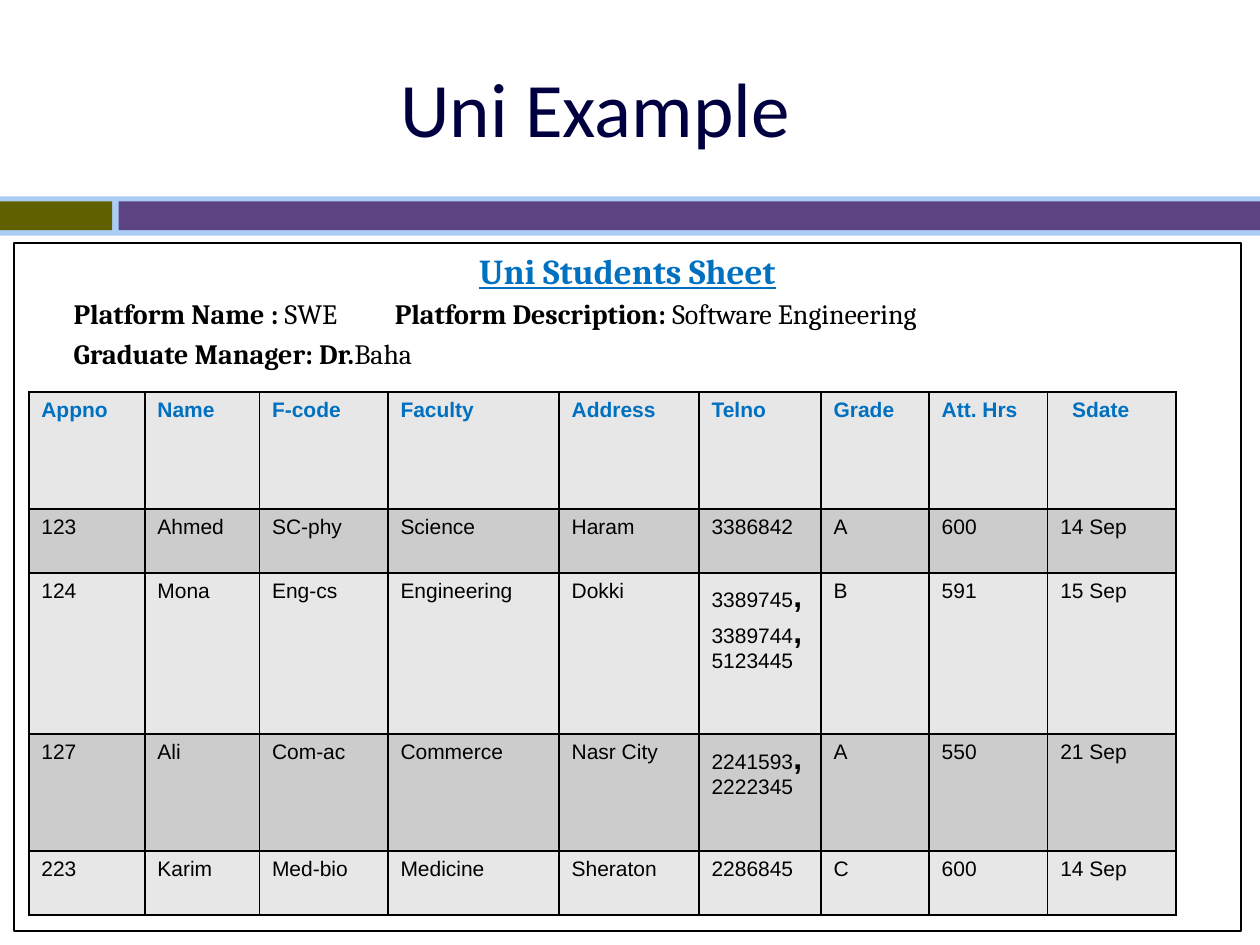
"""Build the Uni Example slide with its students sheet."""
from dataclasses import dataclass

from lxml.etree import SubElement
from pptx import Presentation
from pptx.dml.color import RGBColor
from pptx.enum.shapes import MSO_SHAPE
from pptx.enum.text import MSO_ANCHOR, MSO_AUTO_SIZE, PP_ALIGN
from pptx.oxml.ns import qn
from pptx.util import Cm, Pt

BLACK = RGBColor(0x00, 0x00, 0x00)
NAVY = RGBColor(0x00, 0x00, 0x40)
BLUE = RGBColor(0x00, 0x70, 0xC0)
PALE_BLUE = RGBColor(0xAB, 0xCD, 0xF4)
OLIVE = RGBColor(0x60, 0x60, 0x00)
PURPLE = RGBColor(0x5C, 0x43, 0x81)
LIGHT_GREY = RGBColor(0xE7, 0xE7, 0xE7)
MID_GREY = RGBColor(0xCC, 0xCC, 0xCC)


@dataclass(frozen=True)
class Bar:
    left: float
    top: float
    width: float
    height: float
    color: RGBColor


BARS = [
    Bar(0, 3.96, 25.4, 0.79, PALE_BLUE),
    Bar(0, 4.06, 2.26, 0.58, OLIVE),
    Bar(2.39, 4.06, 23.01, 0.58, PURPLE),
]
DETAILS = [
    [("Platform Name : ", True), ("SWE\t ", False),
     ("Platform Description:", True), (" Software Engineering", False)],
    [("Graduate Manager: Dr.", True), ("Baha", False)],
]
COLUMN_WIDTHS = [2.34, 2.31, 2.59, 3.45, 2.82, 2.46, 2.18, 2.39, 2.59]
ROW_HEIGHTS = [2.36, 1.29, 3.25, 2.36, 1.29]
STUDENTS = [
    ["Appno", "Name", "F-code", "Faculty", "Address", "Telno", "Grade", "Att. Hrs", "Sdate"],
    ["123", "Ahmed", "SC-phy", "Science", "Haram", "3386842", "A", "600", "14 Sep"],
    ["124", "Mona", "Eng-cs", "Engineering", "Dokki",
     "3389745, 3389744,\n5123445", "B", "591", "15 Sep"],
    ["127", "Ali", "Com-ac", "Commerce", "Nasr City", "2241593, 2222345", "A", "550", "21 Sep"],
    ["223", "Karim", "Med-bio", "Medicine", "Sheraton", "2286845", "C", "600", "14 Sep"],
]


def write_run(paragraph, text: str, *, size: float, font: str, color: RGBColor = BLACK,
              bold: bool = False, underline: bool = False) -> None:
    run = paragraph.add_run()
    run.text = text
    run.font.size = Pt(size)
    run.font.name = font
    run.font.color.rgb = color
    run.font.bold = bold
    run.font.underline = underline


def indent_paragraph(paragraph, margin: float) -> None:
    properties = paragraph._p.get_or_add_pPr()
    properties.set("marL", str(Cm(margin)))
    properties.set("indent", "0")


def place(shape, left: float, top: float, width: float, height: float) -> None:
    shape.left, shape.top = Cm(left), Cm(top)
    shape.width, shape.height = Cm(width), Cm(height)


def draw_bar(slide, bar: Bar) -> None:
    shape = slide.shapes.add_shape(
        MSO_SHAPE.RECTANGLE, Cm(bar.left), Cm(bar.top), Cm(bar.width), Cm(bar.height))
    shape.shadow.inherit = False
    shape.fill.solid()
    shape.fill.fore_color.rgb = bar.color
    shape.line.fill.background()


def fill_title(title) -> None:
    place(title, 1.47, 0.84, 21.06, 2.62)
    title.text_frame.vertical_anchor = MSO_ANCHOR.MIDDLE
    paragraph = title.text_frame.paragraphs[0]
    paragraph.alignment = PP_ALIGN.CENTER
    write_run(paragraph, "Uni Example", size=44, font="Calibri", color=NAVY)


def fill_body(body) -> None:
    place(body, 0.28, 4.9, 24.74, 13.87)
    body.line.color.rgb = BLACK
    body.line.width = Pt(0.75)
    frame = body.text_frame
    frame.auto_size = MSO_AUTO_SIZE.NONE
    heading = frame.paragraphs[0]
    heading.alignment = PP_ALIGN.CENTER
    indent_paragraph(heading, 0)
    write_run(heading, "Uni Students Sheet", size=20, font="Cambria", color=BLUE,
              bold=True, underline=True)
    for detail in DETAILS:
        paragraph = frame.add_paragraph()
        indent_paragraph(paragraph, 0.95)
        for text, bold in detail:
            write_run(paragraph, text, size=16, font="Cambria", bold=bold)
    for paragraph in frame.paragraphs:
        SubElement(paragraph._p.get_or_add_pPr(), qn("a:buNone"))


def set_borders(cell) -> None:
    properties = cell._tc.get_or_add_tcPr()
    for side in ("a:lnL", "a:lnR", "a:lnT", "a:lnB"):
        line = SubElement(properties, qn(side), w=str(Pt(1)))
        fill = SubElement(line, qn("a:solidFill"))
        SubElement(fill, qn("a:srgbClr"), val=str(BLACK))


def fill_cell(cell, text: str, *, background: RGBColor, color: RGBColor, bold: bool) -> None:
    set_borders(cell)
    cell.fill.solid()
    cell.fill.fore_color.rgb = background
    frame = cell.text_frame
    for line_number, line in enumerate(text.split("\n")):
        paragraph = frame.add_paragraph() if line_number else frame.paragraphs[0]
        for piece_number, piece in enumerate(line.split(",")):
            if piece_number:
                write_run(paragraph, ",", size=18, font="Arial", bold=True)
            if piece:
                write_run(paragraph, piece, size=12, font="Arial", color=color, bold=bold)


def draw_table(slide) -> None:
    table = slide.shapes.add_table(
        len(STUDENTS), len(COLUMN_WIDTHS), Cm(0.58), Cm(7.9),
        Cm(sum(COLUMN_WIDTHS)), Cm(sum(ROW_HEIGHTS))).table
    table.first_row = table.horz_banding = False
    for column, width in zip(table.columns, COLUMN_WIDTHS):
        column.width = Cm(width)
    for row_number, (row, height) in enumerate(zip(table.rows, ROW_HEIGHTS)):
        row.height = Cm(height)
        is_header = row_number == 0
        for cell, text in zip(row.cells, STUDENTS[row_number]):
            fill_cell(cell, text, background=MID_GREY if row_number % 2 else LIGHT_GREY,
                      color=BLUE if is_header else BLACK, bold=is_header)
    indent_paragraph(table.cell(0, len(COLUMN_WIDTHS) - 1).text_frame.paragraphs[0], 0.24)


def main() -> None:
    presentation = Presentation()
    presentation.slide_width, presentation.slide_height = Cm(25.4), Cm(19.05)
    slide = presentation.slides.add_slide(presentation.slide_layouts[1])
    for bar in BARS:
        draw_bar(slide, bar)
    fill_title(slide.shapes.title)
    fill_body(slide.placeholders[1])
    draw_table(slide)
    presentation.save("out.pptx")


if __name__ == "__main__":
    main()
